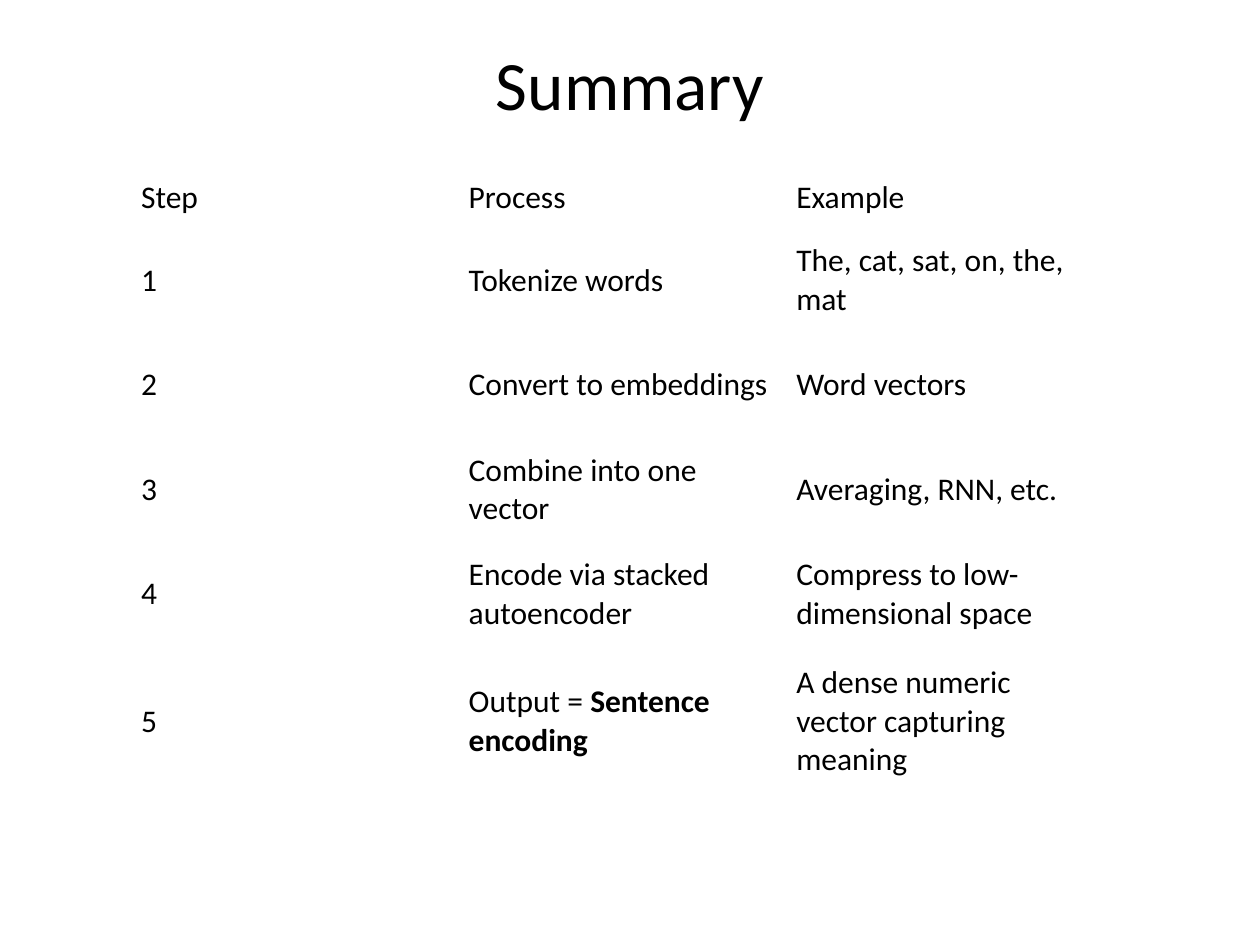
from typing import NamedTuple

from pptx import Presentation
from pptx.dml.color import RGBColor
from pptx.enum import text as t
from pptx.util import Inches, Pt

BLACK = RGBColor(0x00, 0x00, 0x00)
FONT = "Calibri"
TITLE_SIZE, BODY_SIZE = 39.6, 18
TITLE_ONLY = 5
COLUMN_WIDTH = 2.6
HEADINGS = ("Step", "Process", "Example")
HEADING_HEIGHT = 0.48


class Step(NamedTuple):
    process: str
    example: str
    result: str = ""  # bold ending of the process
    height: float = 0.83


STEPS = (
    Step("Tokenize words", "The, cat, sat, on, the, mat"),
    Step("Convert to embeddings", "Word vectors"),
    Step("Combine into one vector", "Averaging, RNN, etc."),
    Step("Encode via stacked autoencoder", "Compress to low-dimensional space"),
    Step("Output = ", "A dense numeric vector capturing meaning",
         "Sentence encoding", 1.19),
)


def add_run(paragraph, wording: str, size: float, bold: bool = False) -> None:
    run = paragraph.add_run()
    run.text = wording
    run.font.name = FONT
    run.font.size = Pt(size)
    run.font.bold = bold
    run.font.color.rgb = BLACK


def add_title(slide, wording: str) -> None:
    title = slide.shapes.title
    title.left, title.top = Inches(0.5), Inches(0.3)
    title.width, title.height = Inches(9), Inches(0.72)
    frame = title.text_frame
    frame.auto_size = t.MSO_AUTO_SIZE.NONE
    frame.vertical_anchor = t.MSO_ANCHOR.MIDDLE
    heading = frame.paragraphs[0]
    heading.alignment = t.PP_ALIGN.CENTER
    add_run(heading, wording, TITLE_SIZE)


def fill_cell(cell, wording: str, bold_ending: str = "") -> None:
    cell.fill.background()
    cell.vertical_anchor = t.MSO_ANCHOR.MIDDLE
    paragraph = cell.text_frame.paragraphs[0]
    add_run(paragraph, wording, BODY_SIZE)
    if bold_ending:
        add_run(paragraph, bold_ending, BODY_SIZE, bold=True)


def add_steps_table(slide, steps: tuple[Step, ...]) -> None:
    heights = [HEADING_HEIGHT] + [step.height for step in steps]
    table = slide.shapes.add_table(
        len(heights), len(HEADINGS), Inches(1.02), Inches(1.33),
        Inches(COLUMN_WIDTH * len(HEADINGS)), Inches(sum(heights))).table
    table.first_row = table.horz_banding = False
    for column in table.columns:
        column.width = Inches(COLUMN_WIDTH)
    for row, height in zip(table.rows, heights):
        row.height = Inches(height)

    for column, heading in enumerate(HEADINGS):
        fill_cell(table.cell(0, column), heading)
    for number, step in enumerate(steps, start=1):
        fill_cell(table.cell(number, 0), str(number))
        fill_cell(table.cell(number, 1), step.process, step.result)
        fill_cell(table.cell(number, 2), step.example)


def main() -> None:
    deck = Presentation()
    deck.slide_width, deck.slide_height = Inches(10), Inches(7.5)
    slide = deck.slides.add_slide(deck.slide_layouts[TITLE_ONLY])
    add_title(slide, "Summary")
    add_steps_table(slide, STEPS)
    deck.save("out.pptx")


if __name__ == "__main__":
    main()
